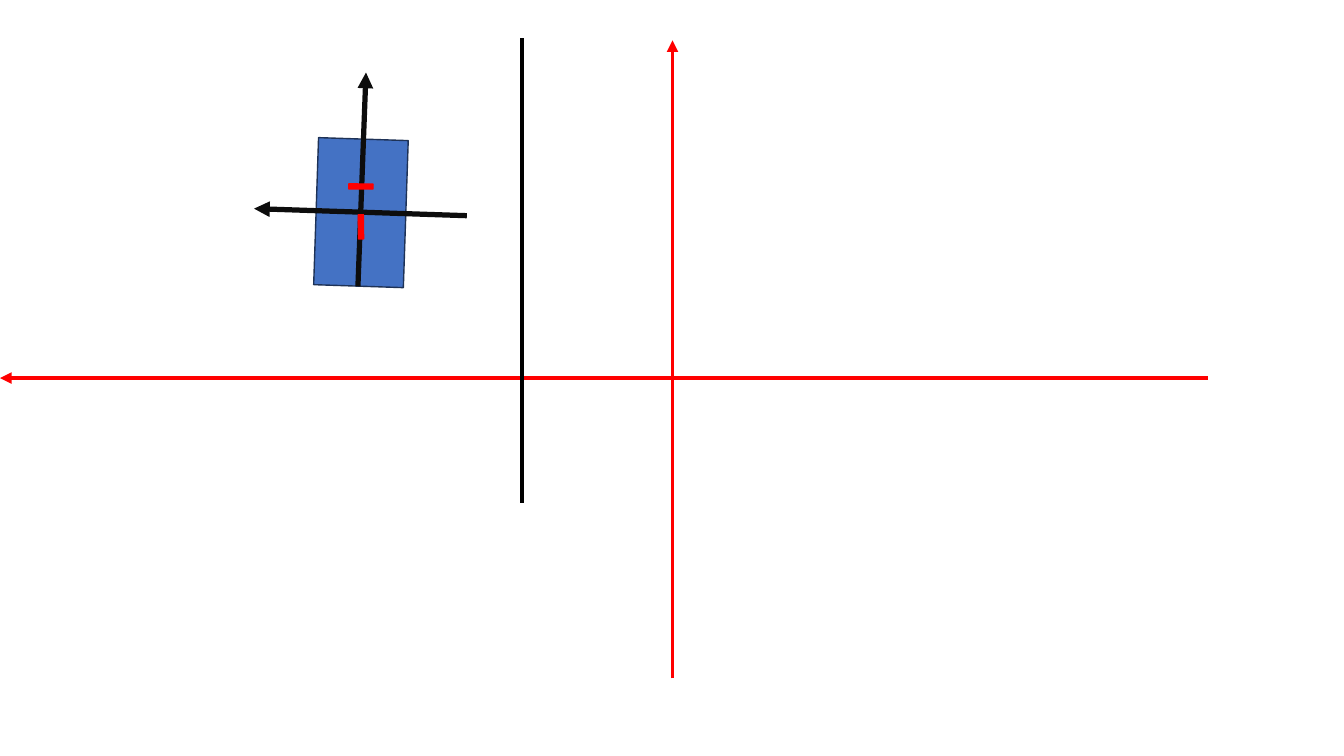
from dataclasses import dataclass

from lxml.etree import SubElement
from pptx import Presentation
from pptx.dml.color import RGBColor
from pptx.enum.shapes import MSO_CONNECTOR, MSO_SHAPE
from pptx.oxml.ns import qn
from pptx.util import Inches, Pt


@dataclass(frozen=True)
class Theme:
    """Colours and line widths of the slide."""
    axis: str = "FF0000"
    body: str = "4472C4"
    body_edge: str = "1E3256"
    body_axis: str = "0D0D0D"
    wall: str = "000000"
    outline_width: float = 1
    axis_width: float = 2.75
    wall_width: float = 3
    body_axis_width: float = 3.75


THEME = Theme()


def add_line(page, start, end, colour, width, arrow=False):
    """Draw a straight line, with an arrowhead at its end if asked."""
    line = page.shapes.add_connector(
        MSO_CONNECTOR.STRAIGHT, *(Inches(value) for value in (*start, *end)))
    line.line.color.rgb = RGBColor.from_string(colour)
    line.line.width = Pt(width)
    if arrow:
        SubElement(line.line._get_or_add_ln(), qn("a:tailEnd"), type="triangle")
    SubElement(line._element.spPr, qn("a:effectLst"))


def add_block(page, centre, size, rotation, fill, edge):
    """Draw a turned rectangle around its centre."""
    left, top = (middle - length / 2 for middle, length in zip(centre, size))
    block = page.shapes.add_shape(
        MSO_SHAPE.RECTANGLE, *(Inches(value) for value in (left, top, *size)))
    block.rotation = rotation
    block.shadow.inherit = False
    block.fill.solid()
    block.fill.fore_color.rgb = RGBColor.from_string(fill)
    block.line.color.rgb = RGBColor.from_string(edge)
    block.line.width = Pt(THEME.outline_width)


def add_world_axes(page, left, top, width, height):
    """Draw the red axes, with the origin set by the box."""
    origin_x, origin_y = left + 6.67, top + 3.35
    for start, end in (
        ((left + width, origin_y), (left, origin_y)),
        ((origin_x, top + height), (origin_x, top)),
    ):
        add_line(page, start, end, THEME.axis, THEME.axis_width, arrow=True)


def add_vehicle(page, centre_x, centre_y):
    """Draw the tilted body, its own axes and its two red markers."""
    add_block(page, (centre_x, centre_y), (1.46, 0.89), 91.9,
              THEME.body, THEME.body_edge)
    for start, end in (
        ((-0.03, 0.73), (0.05, -1.39)),
        ((1.05, 0.03), (-1.06, -0.04)),
    ):
        add_line(page, (centre_x + start[0], centre_y + start[1]),
                 (centre_x + end[0], centre_y + end[1]),
                 THEME.body_axis, THEME.body_axis_width, arrow=True)
    for offset, rotation in ((-0.26, 90.3), (0.14, 179.3)):
        add_block(page, (centre_x, centre_y + offset), (0.05, 0.24), rotation,
                  THEME.axis, THEME.axis)


def add_wall(page, left, top, height):
    """Draw the upright black line."""
    add_line(page, (left, top), (left, top + height),
             THEME.wall, THEME.wall_width)


def main():
    """Build the slide and save the deck."""
    deck = Presentation()
    deck.slide_width, deck.slide_height = Inches(13.33), Inches(7.5)
    page = deck.slides.add_slide(deck.slide_layouts[6])
    add_world_axes(page, 0, 0.4, 11.98, 6.33)
    add_vehicle(page, 3.58, 2.11)
    add_wall(page, 5.18, 0.38, 4.61)
    deck.save("out.pptx")


if __name__ == "__main__":
    main()
